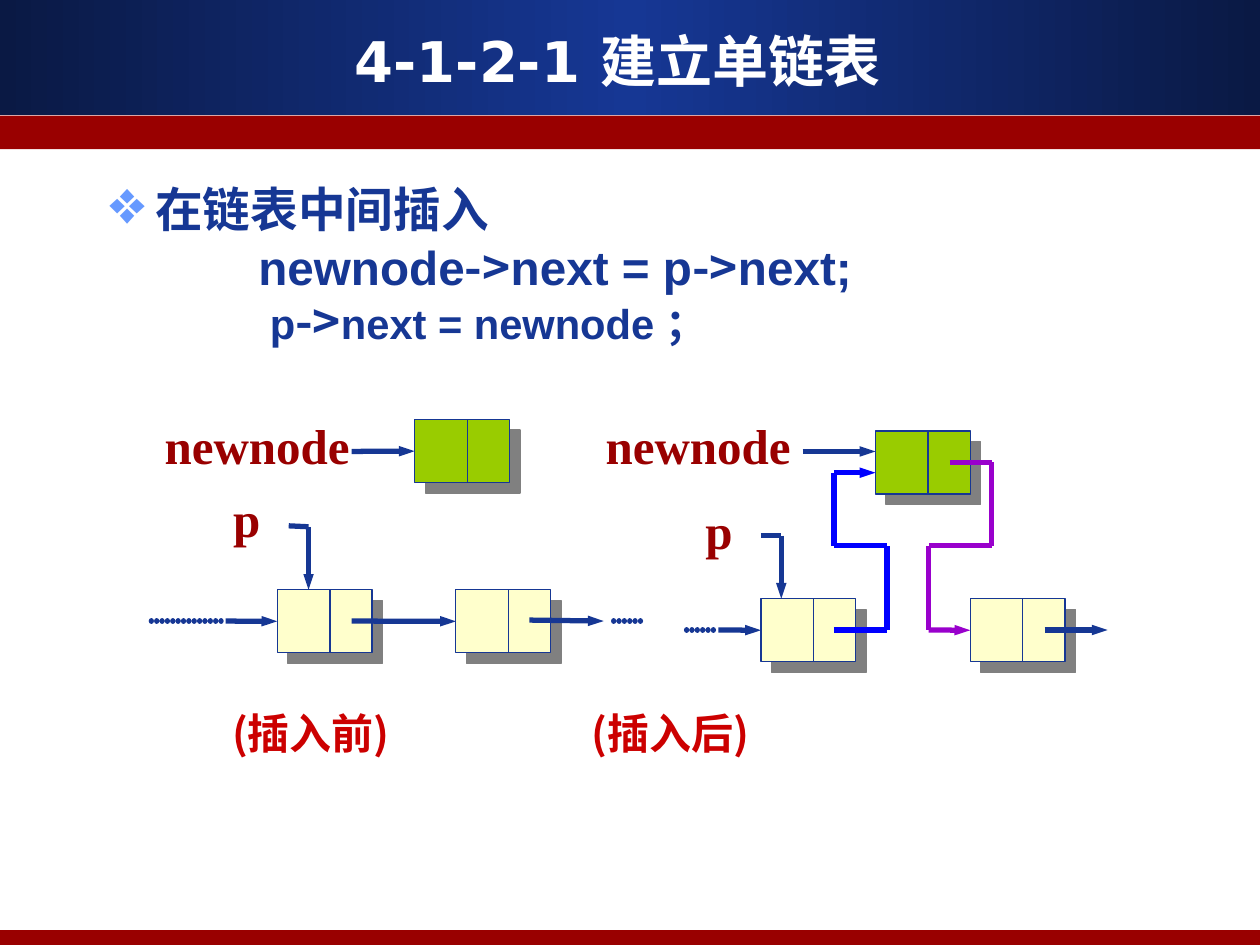
from copy import deepcopy
from dataclasses import dataclass

from lxml.etree import SubElement
from pptx import Presentation
from pptx.dml.color import RGBColor
from pptx.enum.shapes import MSO_CONNECTOR, MSO_SHAPE
from pptx.enum.text import MSO_ANCHOR, PP_ALIGN
from pptx.oxml.ns import qn
from pptx.util import Cm, Pt


@dataclass(frozen=True)
class Theme:
    navy: str = "163794"
    dark: str = "0A1944"
    red: str = "990000"
    note: str = "CC0000"
    sky: str = "6699FF"
    green: str = "99CC00"
    cream: str = "FFFFCC"
    blue: str = "0000FF"
    violet: str = "9900CC"
    gray: str = "808080"
    white: str = "FFFFFF"
    head: float = 32
    big: float = 27.2
    small: float = 23.8
    name: float = 28
    foot: float = 24
    thin: float = 0.75
    thick: float = 3
    sans: str = "Arial"
    wide: str = "DejaVu Sans"
    serif: str = "Times New Roman"
    han: str = "Noto Sans CJK SC"


theme = Theme()
deck = Presentation()
deck.slide_width, deck.slide_height = Cm(25.4), Cm(19.05)
slide = deck.slides.add_slide(deck.slide_layouts[6])
shapes = slide.shapes


def write(para, parts, color):
    for text, size, font in parts:
        run = para.add_run()
        run.text = text
        run.font.size = Pt(size)
        run.font.bold = True
        run.font.name = font
        run.font.color.rgb = RGBColor.from_string(color)
        SubElement(run.font._element, qn("a:ea")).set("typeface", theme.han)


def link(start, end, color, width):
    line = shapes.add_connector(MSO_CONNECTOR.STRAIGHT, *map(Cm, start + end))
    line.line.color.rgb = RGBColor.from_string(color)
    line.line.width = Pt(width)
    SubElement(line.element.spPr, qn("a:effectLst"))
    return line


for top, height in [(0, 2.32), (2.33, 0.68), (18.75, 0.3)]:
    bar = shapes.add_shape(MSO_SHAPE.RECTANGLE, 0, Cm(top), Cm(25.4), Cm(height))
    bar.shadow.inherit = False
    bar.line.fill.background()
    if top:
        bar.fill.solid()
        bar.fill.fore_color.rgb = RGBColor.from_string(theme.red)
    else:
        bar.fill.gradient()
        bar.fill.gradient_angle = 0
        stops = bar.element.xpath(".//a:gsLst")[0]
        stops.append(deepcopy(stops[0]))
        shades = [theme.dark, theme.navy, theme.dark]
        for stop, shade, spot in zip(bar.fill.gradient_stops, shades, [0, 0.5, 1]):
            stop.color.rgb = RGBColor.from_string(shade)
            stop.position = spot

title = shapes.add_textbox(Cm(0.7), Cm(0.43), Cm(23.5), Cm(1.57)).text_frame
title.word_wrap = True
title.vertical_anchor = MSO_ANCHOR.MIDDLE
title.paragraphs[0].alignment = PP_ALIGN.CENTER
write(title.paragraphs[0], [("4-1-2-1 建立单链表", theme.head, theme.wide)], theme.white)

body = shapes.add_textbox(Cm(1.91), Cm(3.63), Cm(22.6), Cm(4)).text_frame
body.word_wrap = True
big, small = theme.big, theme.small
arrow = ("->", big, theme.han)
rows = [
    (0.97, 0, [("在链表中间插入", big, theme.sans)]),
    (3.05, 4, [("newnode", big, theme.sans), arrow, ("next = p", big, theme.sans),
               arrow, ("next;", big, theme.sans)]),
    (3.28, 1.5, [("p", small, theme.sans), arrow, ("next = newnode ；", small, theme.sans)]),
]
for spot, (left, gap, parts) in enumerate(rows):
    para = body.add_paragraph() if spot else body.paragraphs[0]
    para.line_spacing = 0.9
    para.space_before = Pt(gap)
    write(para, parts, theme.navy)
    props = para._p.get_or_add_pPr()
    props.set("marL", str(Cm(left)))
    if not spot:
        props.set("indent", str(-Cm(0.92)))
        tint = SubElement(SubElement(props, qn("a:buClr")), qn("a:srgbClr"))
        tint.set("val", theme.sky)
        SubElement(props, qn("a:buSzPct")).set("val", "130000")
        SubElement(props, qn("a:buChar")).set("char", "❖")

labels = [
    ("newnode", 3.07, 8.26, 4.5), ("p", 4.45, 9.73, 1.2),
    ("newnode", 11.96, 8.26, 4.5), ("p", 13.97, 9.96, 1.2),
    ("(插入前)", 4.43, 14.14, 5), ("(插入后)", 11.67, 14.14, 5),
]
for text, left, top, width in labels:
    frame = shapes.add_textbox(Cm(left), Cm(top), Cm(width), Cm(1.45)).text_frame
    frame.word_wrap = True
    note = text.startswith("(")
    part = (text, theme.foot, theme.han) if note else (text, theme.name, theme.serif)
    write(frame.paragraphs[0], [part], theme.note if note else theme.red)

spots = {
    "new": (8.36, 8.46, theme.green), "prev": (5.59, 11.89, theme.cream),
    "next": (9.19, 11.89, theme.cream), "new2": (17.65, 8.69, theme.green),
    "prev2": (15.34, 12.07, theme.cream), "next2": (19.56, 12.07, theme.cream),
}
nodes = {}
for name, (left, top, color) in spots.items():
    node = shapes.add_shape(MSO_SHAPE.RECTANGLE, Cm(left), Cm(top), Cm(1.91), Cm(1.27))
    node.shadow.inherit = False
    node.fill.solid()
    node.fill.fore_color.rgb = RGBColor.from_string(color)
    node.line.color.rgb = RGBColor.from_string(theme.navy)
    node.line.width = Pt(theme.thin)
    shade = SubElement(node.element.spPr.find(qn("a:effectLst")), qn("a:outerShdw"))
    shade.set("dist", str(Pt(8.5)))
    shade.set("dir", "2700000")
    SubElement(shade, qn("a:srgbClr")).set("val", theme.gray)
    link((left + 1.06, top), (left + 1.06, top + 1.27), theme.navy, theme.thin)
    nodes[name] = node

routes = [
    (theme.navy, "new", [(7.09, 9.1), (8.36, 9.1)]),
    (theme.navy, "prev", [(4.55, 12.52), (5.59, 12.52)]),
    (theme.navy, "next", [(7.09, 12.52), (9.19, 12.52)]),
    (theme.navy, None, [(10.67, 12.5), (12.17, 12.52)]),
    (theme.navy, None, [(5.82, 10.6), (6.22, 10.62), (6.22, 11.89)]),
    (theme.navy, None, [(16.18, 9.1), (17.65, 9.1)]),
    (theme.navy, "prev2", [(14.48, 12.7), (15.34, 12.7)]),
    (theme.navy, None, [(15.34, 10.8), (15.75, 10.8), (15.75, 12.07)]),
    (theme.navy, None, [(21.06, 12.7), (22.33, 12.7)]),
    (theme.violet, "next2", [(19.15, 9.32), (19.99, 9.32), (19.99, 11),
                             (18.72, 11), (18.72, 12.7), (19.56, 12.7)]),
    (theme.blue, None, [(16.81, 12.7), (17.88, 12.7), (17.88, 11),
                        (16.81, 11), (16.81, 9.53), (17.65, 9.53)]),
]
for color, goal, points in routes:
    for start, end in zip(points, points[1:]):
        line = link(start, end, color, theme.thick)
    if goal:
        line.end_connect(nodes[goal], 1)
    tip = SubElement(line.line._get_or_add_ln(), qn("a:tailEnd"))
    tip.set("type", "triangle")
    tip.set("w", "sm")
    tip.set("len", "med")

for left, right, top in [(3.05, 4.55, 12.52), (12.37, 13, 12.52), (13.84, 14.48, 12.7)]:
    dots = link((left, top), (right, top), theme.navy, theme.thick)
    edge = dots.line._get_or_add_ln()
    edge.set("cap", "rnd")
    dash = SubElement(SubElement(edge, qn("a:custDash")), qn("a:ds"))
    dash.set("d", "100000")
    dash.set("sp", "2000")

deck.save("out.pptx")
